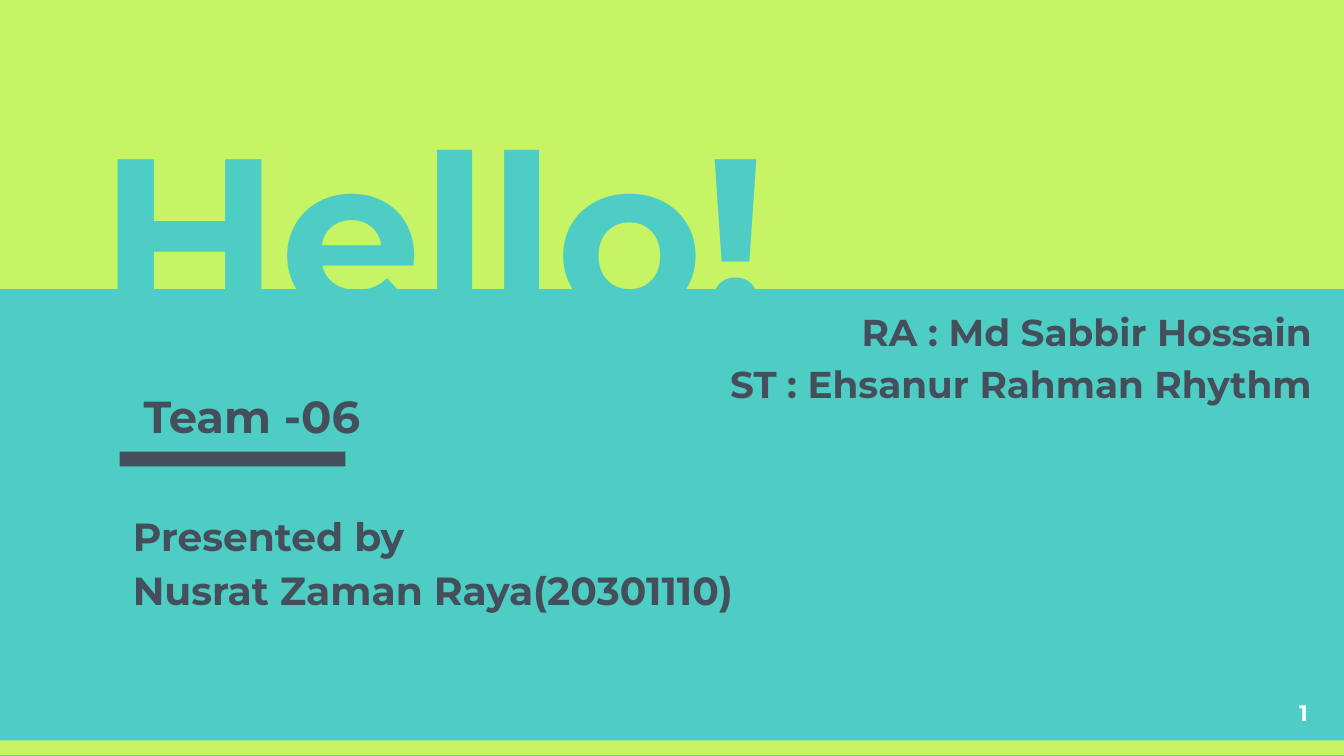
from dataclasses import dataclass

from pptx import Presentation
from pptx.dml.color import RGBColor as RGB
from pptx.enum.shapes import MSO_SHAPE as Shape
from pptx.enum.text import MSO_ANCHOR as Anchor, PP_ALIGN as Align
from pptx.slide import Slide
from pptx.util import Inches, Pt


@dataclass(frozen=True)
class Theme:
    lime: RGB = RGB(0xC7, 0xF4, 0x64)
    teal: RGB = RGB(0x4E, 0xCD, 0xC4)
    slate: RGB = RGB(0x45, 0x4F, 0x5B)
    white: RGB = RGB(0xFF, 0xFF, 0xFF)
    font: str = "Montserrat"
    title: int = 120
    team: int = 24
    name: int = 21
    staff: int = 20
    page: int = 12


THEME = Theme()


@dataclass(frozen=True)
class Bar:
    box: tuple[float, float, float, float]
    color: RGB


@dataclass(frozen=True)
class Label:
    box: tuple[float, float, float, float]
    text: str  # "\n" starts a paragraph, "\v" breaks a line
    size: int
    color: RGB = THEME.slate
    align: Align = Align.LEFT
    anchor: Anchor = Anchor.TOP
    before: int = 0
    line: float = 1.0


BARS = [
    Bar((0, 5.51, 10, 0.11), THEME.lime),
    Bar((0, 0, 10, 2.15), THEME.lime),
    Bar((0.89, 3.36, 1.68, 0.11), THEME.slate),
]

LABELS = [
    Label((0.64, 1.52, 5.5, 1.27), "Hello!", THEME.title, THEME.teal,
          anchor=Anchor.BOTTOM),
    Label((0.89, 3.66, 5.9, 0.69), "Presented by\vNusrat Zaman Raya(20301110)",
          THEME.name, before=6, line=1.15),
    Label((2.57, 2.15, 7.29, 1.55),
          "RA : Md Sabbir Hossain\nST : Ehsanur Rahman Rhythm",
          THEME.staff, align=Align.RIGHT, line=1.15),
    Label((9.4, 5.1, 0.6, 0.34), "1", THEME.page, THEME.white, Align.CENTER),
    Label((0.97, 2.79, 3.28, 0.61), "Team -06", THEME.team, before=6),
]


def draw_bar(slide: Slide, bar: Bar) -> None:
    shape = slide.shapes.add_shape(Shape.RECTANGLE, *map(Inches, bar.box))
    shape.shadow.inherit = False
    shape.fill.solid()
    shape.fill.fore_color.rgb = bar.color
    shape.line.fill.background()


def draw_label(slide: Slide, label: Label) -> None:
    frame = slide.shapes.add_textbox(*map(Inches, label.box)).text_frame
    frame.word_wrap = True
    frame.vertical_anchor = label.anchor
    frame.margin_left = frame.margin_right = Inches(0.1)
    frame.margin_top = frame.margin_bottom = Inches(0.1)
    frame.text = label.text
    for para in frame.paragraphs:
        para.alignment = label.align
        para.line_spacing = label.line
        para.space_before = Pt(label.before)
        for run in para.runs:
            run.font.name = THEME.font
            run.font.size = Pt(label.size)
            run.font.bold = True
            run.font.color.rgb = label.color


def main() -> None:
    # Widescreen page, 16:9
    deck = Presentation()
    deck.slide_width = Inches(10)
    deck.slide_height = Inches(10 * 9 / 16)
    slide = deck.slides.add_slide(deck.slide_layouts[6])

    # Background
    fill = slide.background.fill
    fill.solid()
    fill.fore_color.rgb = THEME.teal

    # Colour bands and underline, then the text over them
    for bar in BARS:
        draw_bar(slide, bar)
    for label in LABELS:
        draw_label(slide, label)

    deck.save("out.pptx")


if __name__ == "__main__":
    main()
